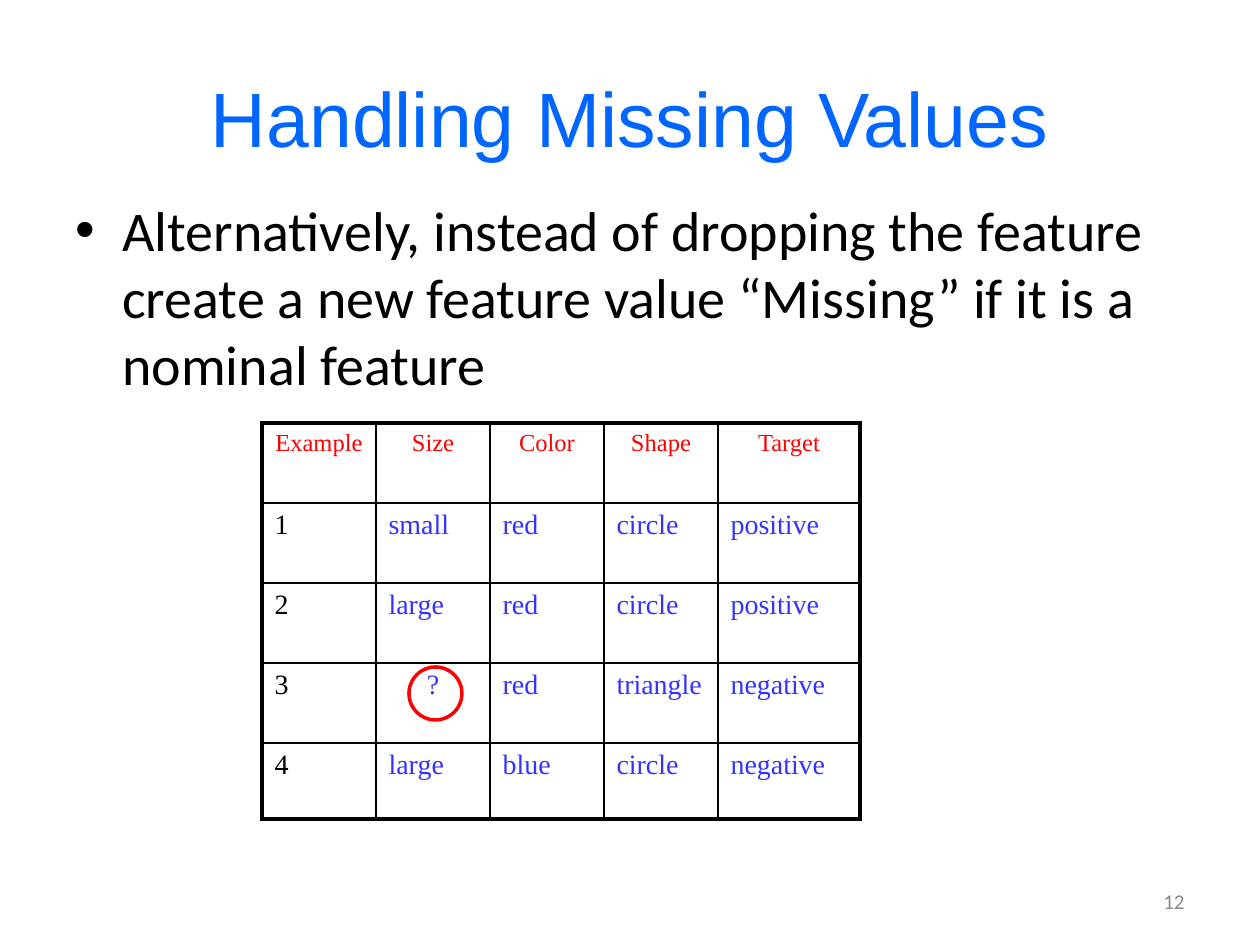
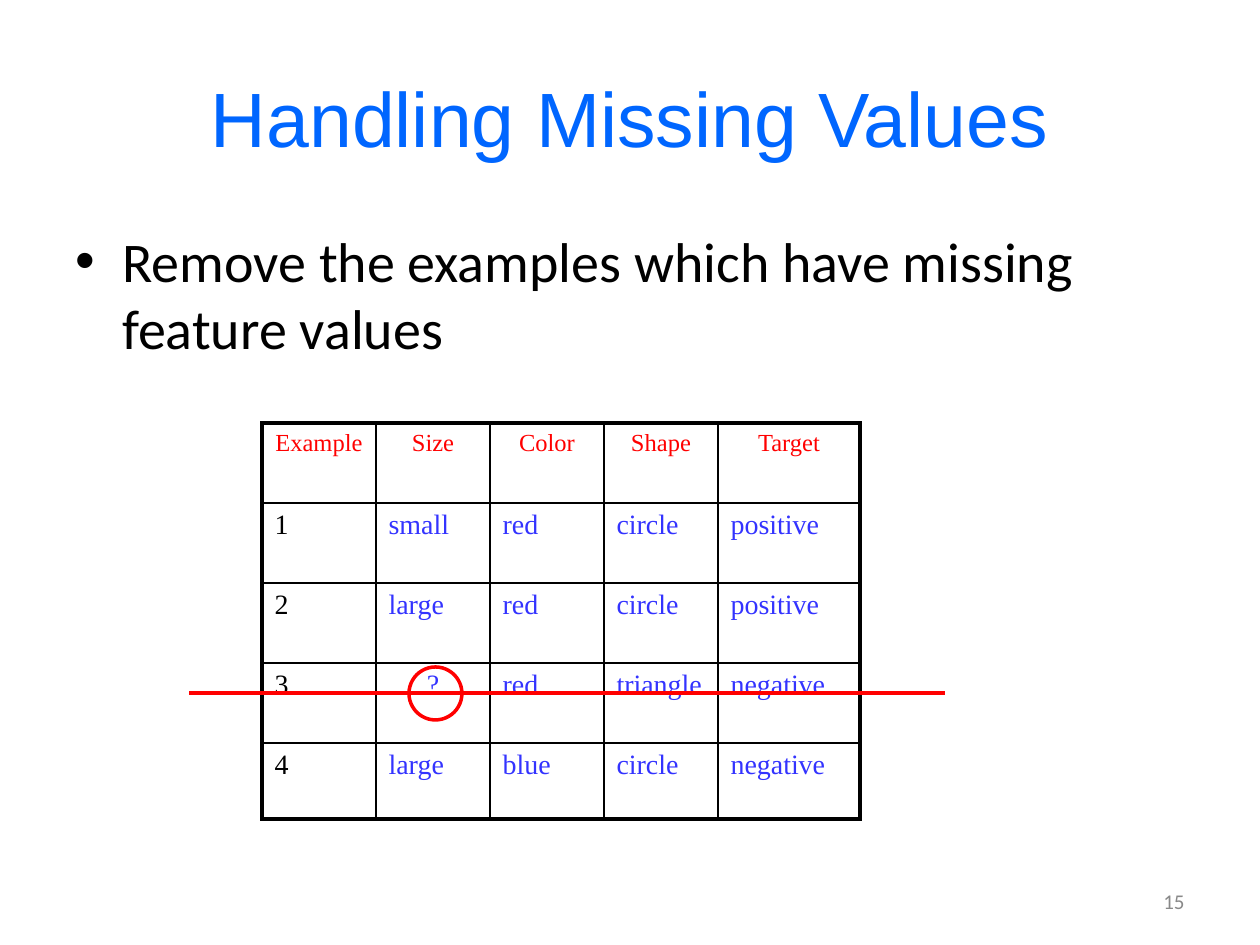
from lxml.etree import SubElement
from pptx import Presentation
from pptx.dml.color import RGBColor
from pptx.enum.shapes import MSO_CONNECTOR, MSO_SHAPE
from pptx.enum.text import MSO_ANCHOR, PP_ALIGN
from pptx.oxml.ns import qn
from pptx.util import Pt

PX = 914400 / 126
TITLE_BLUE = RGBColor(0x00, 0x66, 0xFF)
VALUE_BLUE = RGBColor(0x33, 0x33, 0xFF)
RED = RGBColor(0xFF, 0x00, 0x00)
BLACK = RGBColor(0x00, 0x00, 0x00)
GRAY = RGBColor(0x89, 0x89, 0x89)

TITLE = {"name": "Arial", "size": Pt(44), "color": TITLE_BLUE}
BODY = {"name": "Calibri", "size": Pt(32), "color": BLACK}
NUMBER = {"name": "Calibri", "size": Pt(12), "color": GRAY}
HEADER = {"name": "Times New Roman", "size": Pt(14), "color": RED}
EXAMPLE = {"name": "Times New Roman", "size": Pt(16), "color": BLACK}
VALUE = {**EXAMPLE, "color": VALUE_BLUE}

COLUMN_WIDTHS = [114, 114, 114, 114, 142]
ROW_HEIGHTS = [80, 80, 80, 80, 76]
EXAMPLES = [
    ["Example", "Size", "Color", "Shape", "Target"],
    ["1", "small", "red", "circle", "positive"],
    ["2", "large", "red", "circle", "positive"],
    ["3", "?", "red", "triangle", "negative"],
    ["4", "large", "blue", "circle", "negative"],
]
SLIDES = [
    {
        "point": "Alternatively, instead of dropping the feature create a new "
                 "feature value “Missing” if it is a nominal feature",
        "top": 189, "number": "12", "strike": False,
    },
    {
        "point": "Remove the examples which have missing feature values",
        "top": 220, "number": "15", "strike": True,
    },
]


def emu(*lengths):
    return [round(length * PX) for length in lengths]


class SlideBuilder:
    def __init__(self, deck):
        self.deck = deck
        self.page = None

    def new_page(self):
        self.page = self.deck.slides.add_slide(self.deck.slide_layouts[5])

    def paragraph(self, frame, text, style, align=PP_ALIGN.LEFT):
        para = frame.paragraphs[0]
        para.alignment = align
        span = para.add_run()
        span.text = text
        for name, value in style.items():
            if name == "color":
                span.font.color.rgb = value
            else:
                setattr(span.font, name, value)
        return para

    def title(self, text):
        box = self.page.shapes.title
        box.left, box.top, box.width, box.height = emu(63, 38, 1134, 158)
        box.text_frame.vertical_anchor = MSO_ANCHOR.MIDDLE
        self.paragraph(box.text_frame, text, TITLE, PP_ALIGN.CENTER)

    def text(self, area, text, style, align=PP_ALIGN.LEFT, anchor=MSO_ANCHOR.TOP):
        frame = self.page.shapes.add_textbox(*emu(*area)).text_frame
        frame.word_wrap = True
        frame.vertical_anchor = anchor
        return self.paragraph(frame, text, style, align)

    def bullet(self, area, text):
        properties = self.text(area, text, BODY)._p.get_or_add_pPr()
        indent = emu(47)[0]
        properties.set("marL", str(indent))
        properties.set("indent", str(-indent))
        SubElement(properties, qn("a:buFont"), typeface="Arial")
        SubElement(properties, qn("a:buChar"), char="•")

    def borders(self, cell, outer_sides):
        properties = cell._tc.get_or_add_tcPr()
        for side in "LRTB":
            width = Pt(2.25) if side in outer_sides else Pt(1)
            line = SubElement(properties, qn(f"a:ln{side}"), w=str(width))
            fill = SubElement(line, qn("a:solidFill"))
            SubElement(fill, qn("a:srgbClr"), val=str(BLACK))

    def table(self, left, top, rows):
        area = emu(left, top, sum(COLUMN_WIDTHS), sum(ROW_HEIGHTS))
        table = self.page.shapes.add_table(len(rows), len(rows[0]), *area).table
        table.first_row = table.horz_banding = False
        for column, width in zip(table.columns, emu(*COLUMN_WIDTHS)):
            column.width = width
        for row, height in zip(table.rows, emu(*ROW_HEIGHTS)):
            row.height = height
        last_row, last_column = len(rows) - 1, len(rows[0]) - 1
        for row, texts in enumerate(rows):
            for column, text in enumerate(texts):
                cell = table.cell(row, column)
                edges = {"L": column == 0, "R": column == last_column,
                         "T": row == 0, "B": row == last_row}
                self.borders(cell, [side for side, outer in edges.items() if outer])
                cell.fill.background()
                style = HEADER if row == 0 else EXAMPLE if column == 0 else VALUE
                centered = row == 0 or text == "?"
                align = PP_ALIGN.CENTER if centered else PP_ALIGN.LEFT
                self.paragraph(cell.text_frame, text, style, align)

    def outline(self, shape):
        shape.line.color.rgb = RED
        shape.line.width = Pt(2)

    def ring(self, left, top, size):
        ring = self.page.shapes.add_shape(MSO_SHAPE.OVAL, *emu(left, top, size, size))
        ring.shadow.inherit = False
        ring.fill.background()
        self.outline(ring)

    def line(self, *ends):
        line = self.page.shapes.add_connector(MSO_CONNECTOR.STRAIGHT, *emu(*ends))
        self.outline(line)
        SubElement(line._element.spPr, qn("a:effectLst"))


def main():
    deck = Presentation()
    deck.slide_width, deck.slide_height = emu(1260, 945)
    builder = SlideBuilder(deck)
    for content in SLIDES:
        builder.new_page()
        builder.title("Handling Missing Values")
        top = content["top"]
        builder.bullet((63, top, 1134, 903 - top), content["point"])
        builder.text((903, 876, 294, 50), content["number"], NUMBER,
                     PP_ALIGN.RIGHT, MSO_ANCHOR.MIDDLE)
        builder.table(262, 423, EXAMPLES)
        builder.ring(409, 667, 53)
        if content["strike"]:
            builder.line(189, 693, 945, 693)
    deck.save("out.pptx")


if __name__ == "__main__":
    main()
